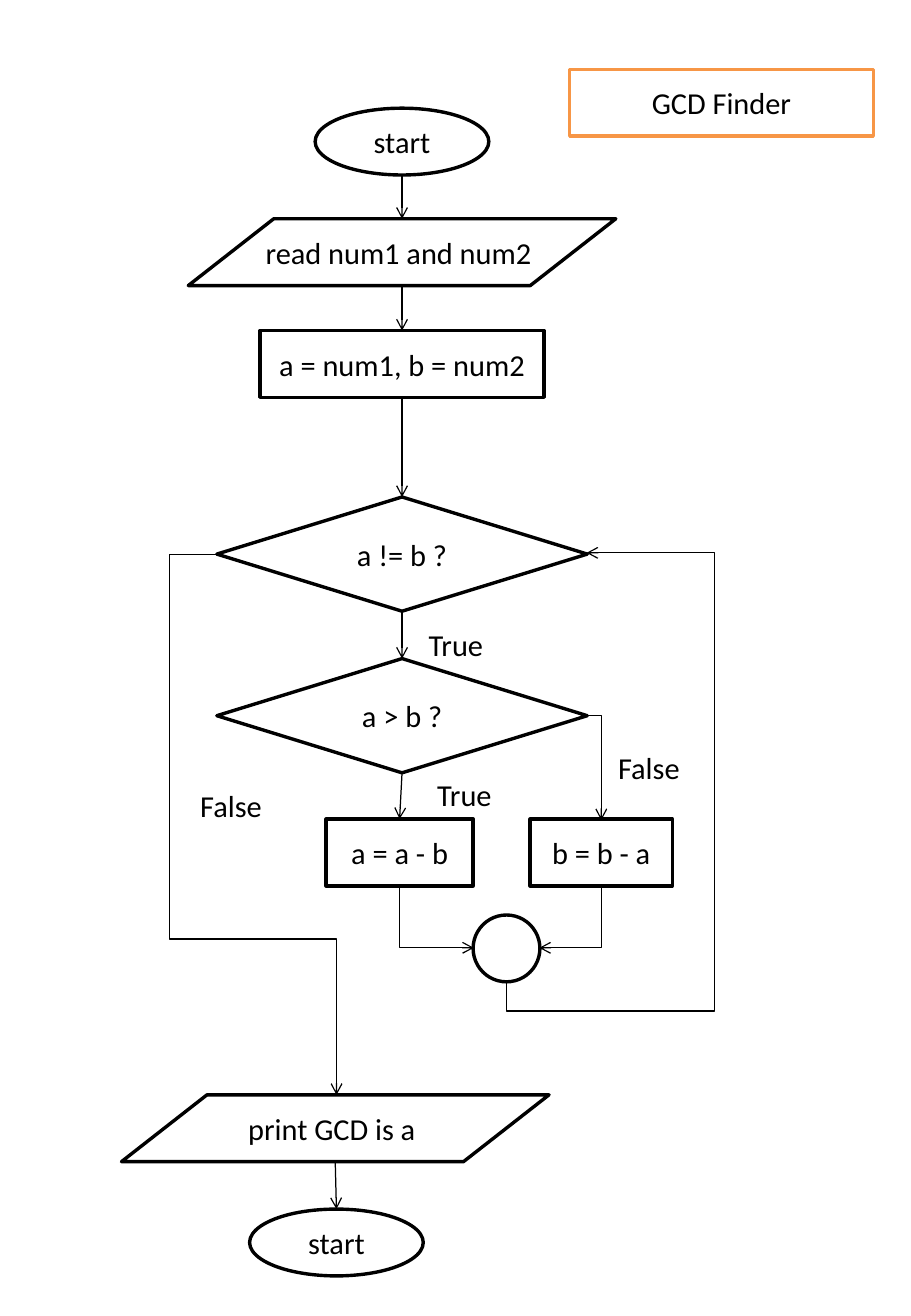
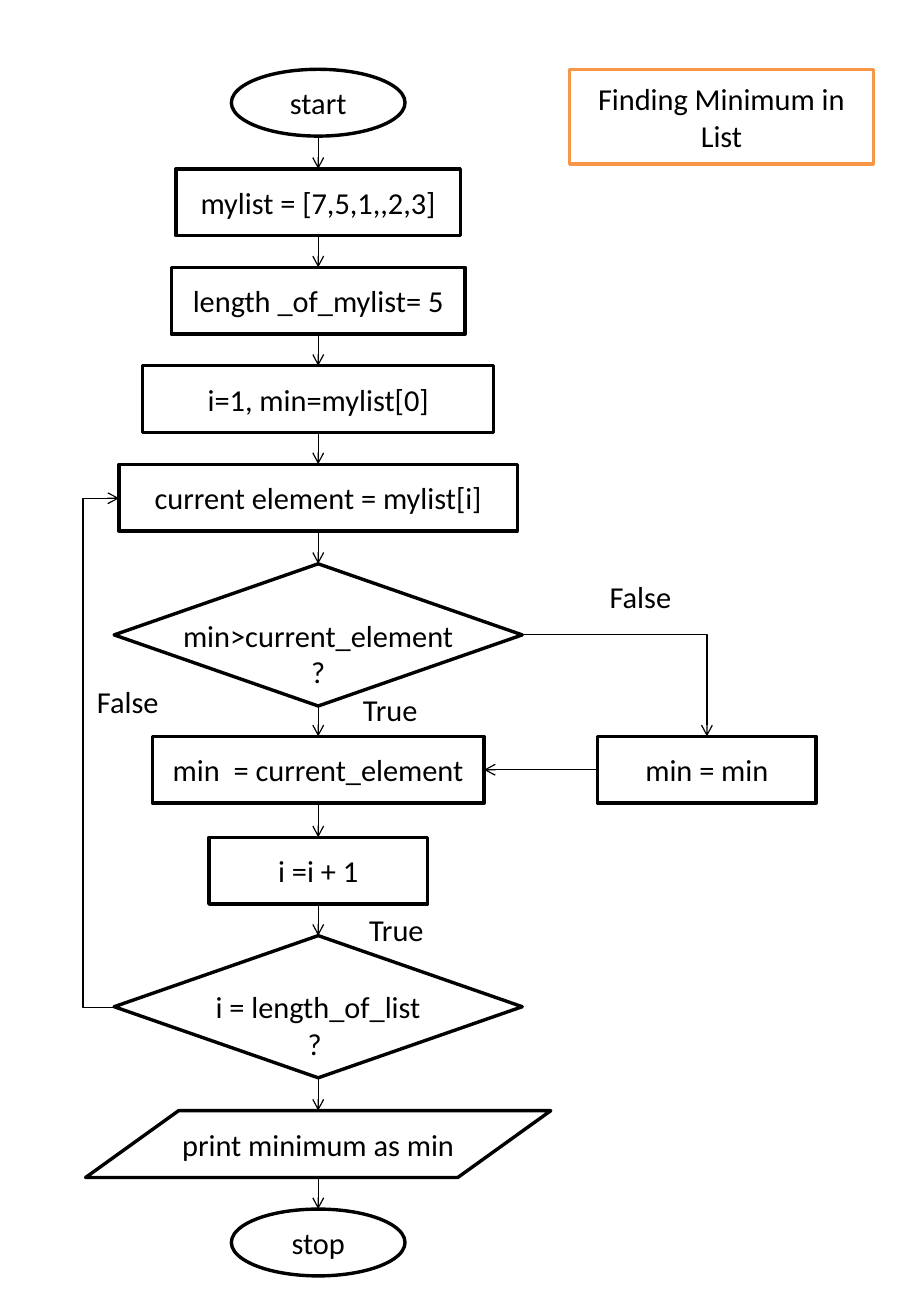
"""Build two flowchart slides: a GCD finder and a minimum finder."""
from pptx import Presentation
from pptx.dml.color import RGBColor
from pptx.enum.shapes import MSO_CONNECTOR as Connector, MSO_SHAPE as Shape
from pptx.enum.text import MSO_ANCHOR as Anchor, MSO_AUTO_SIZE as AutoSize, PP_ALIGN as Align
from pptx.oxml.ns import qn
from pptx.util import Inches, Pt
from lxml import etree

BLACK, WHITE, ORANGE = "000000", "FFFFFF", "F79646"
BOX_HEIGHT = 0.55
TOP, LEFT, BOTTOM, RIGHT = range(4)
KINDS = {"oval": Shape.OVAL, "box": Shape.RECTANGLE, "data": Shape.FLOWCHART_DATA,
         "decision": Shape.FLOWCHART_DECISION}
SITES = {"oval": (0, 2, 4, 6), "box": (0, 1, 2, 3), "data": (1, 2, 4, 5),
         "decision": (0, 1, 2, 3)}
LABEL_WIDTHS = {"True": 0.66, "False": 0.71}


def color(value):
    return RGBColor.from_string(value)


def write_text(shape, text, align, wrap):
    frame = shape.text_frame
    frame.word_wrap = wrap
    for index, line in enumerate(text.split("\n")):
        paragraph = frame.add_paragraph() if index else frame.paragraphs[0]
        paragraph.alignment = align
        if line:
            run = paragraph.add_run()
            run.text = line
            for name, value in {"name": "Calibri", "size": Pt(18)}.items():
                setattr(run.font, name, value)
            run.font.color.rgb = color(BLACK)
    return frame


# noqa
charts = [
    {
        "title": ("GCD Finder", 0.55),
        "decision_height": 0.94,
        "nodes": {
            "start": ("oval", "start", 3.31, 0.89, 1.43),
            "read": ("data", "read num1 and num2 ", 3.31, 1.8, 3.52),
            "assign": ("box", "a = num1, b = num2", 3.31, 2.72, 2.34),
            "differ": ("decision", "a != b ?", 3.31, 4.09, 3.05),
            "greater": ("decision", "a > b ?", 3.31, 5.42, 3.05),
            "reduce a": ("box", "a = a - b", 3.29, 6.74, 1.21),
            "reduce b": ("box", "b = b - a", 4.95, 6.74, 1.17),
            "join": ("oval", "", 4.17, 7.53, 0.55),
            "print": ("data", "print GCD is a ", 2.76, 9.01, 3.52),
            "end": ("oval", "start", 2.77, 9.95, 1.43),
        },
        "chains": [("start", "read", "assign", "differ", "greater", "reduce a"),
                   ("print", "end")],
        "side_links": [],
        "elbows": [
            ("reduce a", BOTTOM, "join", LEFT, 2, (3.34, 7.24, 0.51, 0.61), 270, "h", ()),
            ("reduce b", BOTTOM, "join", RIGHT, 2, (4.44, 7.29, 0.51, 0.51), 90, "", ()),
            ("join", BOTTOM, "differ", RIGHT, 4, (2.74, 5.98, 3.52, 0.66), 90, "hv",
             (-7100, 260000)),
            ("differ", LEFT, "print", TOP, 4, (1.79, 4.56, 0.98, 4.45), 180, "hv",
             (-40500, 71200)),
            ("greater", RIGHT, "reduce b", TOP, 2, (4.83, 5.89, 0.12, 0.86), 0, "", ()),
        ],
        "labels": [("False", 1.55, 6.43), ("True", 3.43, 5.1), ("True", 3.5, 6.34),
                   ("False", 4.99, 6.12)],
    },
    {
        "title": ("Finding Minimum in List", 0.78),
        "decision_height": 1.17,
        "nodes": {
            "start": ("oval", "start", 2.62, 0.57, 1.43),
            "list": ("box", "mylist = [7,5,1,,2,3]", 2.62, 1.39, 2.34),
            "length": ("box", "length _of_mylist= 5", 2.62, 2.2, 2.42),
            "first": ("box", "i=1, min=mylist[0]", 2.62, 3.01, 2.89),
            "current": ("box", "current element = mylist[i]", 2.62, 3.82, 3.28),
            "compare": ("decision", "min>current_element\n?", 2.62, 4.64, 3.36),
            "replace": ("box", "min  = current_element", 2.62, 6.06, 2.73),
            "keep": ("box", "min = min", 5.82, 6.06, 1.8),
            "next": ("box", "i =i + 1", 2.62, 6.89, 1.8),
            "finished": ("decision", "i = length_of_list\n? ", 2.62, 7.7, 3.36),
            "print": ("data", "print minimum as min", 2.62, 9.14, 3.83),
            "stop": ("oval", "stop", 2.62, 9.95, 1.43),
        },
        "chains": [("start", "list", "length", "first", "current", "compare", "replace",
                    "next", "finished", "print", "stop")],
        "side_links": [("keep", LEFT, "replace", RIGHT)],
        "elbows": [
            ("compare", RIGHT, "keep", TOP, 2, (4.3, 5.22, 1.52, 0.84), 0, "", ()),
            ("finished", LEFT, "current", LEFT, 3, (0.94, 4.1, 0.04, 4.19), 180, "h",
             (-640000,)),
        ],
        "labels": [("False", 4.92, 4.71), ("True", 2.89, 5.64), ("True", 2.94, 7.45),
                   ("False", 0.7, 5.57)],
    },
]

presentation = Presentation()
presentation.slide_width, presentation.slide_height = Inches(7.5), Inches(10.83)

for chart in charts:
    slide = presentation.slides.add_slide(presentation.slide_layouts[6])
    title, title_height = chart["title"]
    nodes = {**chart["nodes"], "title": ("box", title, 5.94, 0.57, 2.5)}
    shapes = {}
    for key, (kind, text, center, top, width) in nodes.items():
        is_title = key == "title"
        height = chart["decision_height"] if kind == "decision" else BOX_HEIGHT
        if is_title:
            height = title_height
        shape = slide.shapes.add_shape(KINDS[kind], Inches(center - width / 2), Inches(top),
                                       Inches(width), Inches(height))
        shape.shadow.inherit = False
        shape.fill.solid()
        shape.fill.fore_color.rgb = color(WHITE)
        shape.line.color.rgb = color(ORANGE if is_title else BLACK)
        shape.line.width = Pt(2)
        frame = write_text(shape, text, Align.CENTER, is_title)
        frame.vertical_anchor = Anchor.MIDDLE
        if "\n" in text:
            frame.margin_top = Inches(0.35)
        shapes[key] = shape

    links = [(first, BOTTOM, second, TOP) for chain in chart["chains"]
             for first, second in zip(chain, chain[1:])]
    for first, first_side, second, second_side, *bend in links + chart["side_links"] + chart["elbows"]:
        connector = slide.shapes.add_connector(
            Connector.ELBOW if bend else Connector.STRAIGHT, 0, 0, 0, 0)
        connector.begin_connect(shapes[first], first_side)
        connector.end_connect(shapes[second], second_side)
        element = connector.element
        for tag, key, side in (("a:stCxn", first, first_side), ("a:endCxn", second, second_side)):
            site = SITES[nodes[key][0]][side]
            next(element.iter(qn(tag))).set("idx", str(site))
        if bend:
            number, box, rotation, flips, adjustments = bend
            for name, value in zip(("left", "top", "width", "height"), box):
                setattr(connector, name, Inches(value))
            transform = next(element.iter(qn("a:xfrm")))
            transform.set("rot", str(rotation * 60000))
            for axis in "hv":
                transform.set(f"flip{axis.upper()}", str(int(axis in flips)))
            geometry = next(element.iter(qn("a:prstGeom")))
            geometry.set("prst", f"bentConnector{number}")
            guides = geometry.find(qn("a:avLst"))
            for index, value in enumerate(adjustments, 1):
                etree.SubElement(guides, qn("a:gd"), name=f"adj{index}" if number > 3 else "adj1",
                                 fmla=f"val {value}")
        connector.line.color.rgb = color(BLACK)
        connector.line.width = Pt(0.75)
        outline = next(element.iter(qn("a:ln")))
        etree.SubElement(outline, qn("a:tailEnd"), type="arrow")
        etree.SubElement(outline.getparent(), qn("a:effectLst"))

    for text, left, top in chart["labels"]:
        label = slide.shapes.add_textbox(Inches(left), Inches(top),
                                         Inches(LABEL_WIDTHS[text]), Inches(0.4))
        write_text(label, text, Align.LEFT, False).auto_size = AutoSize.SHAPE_TO_FIT_TEXT

presentation.save("out.pptx")
